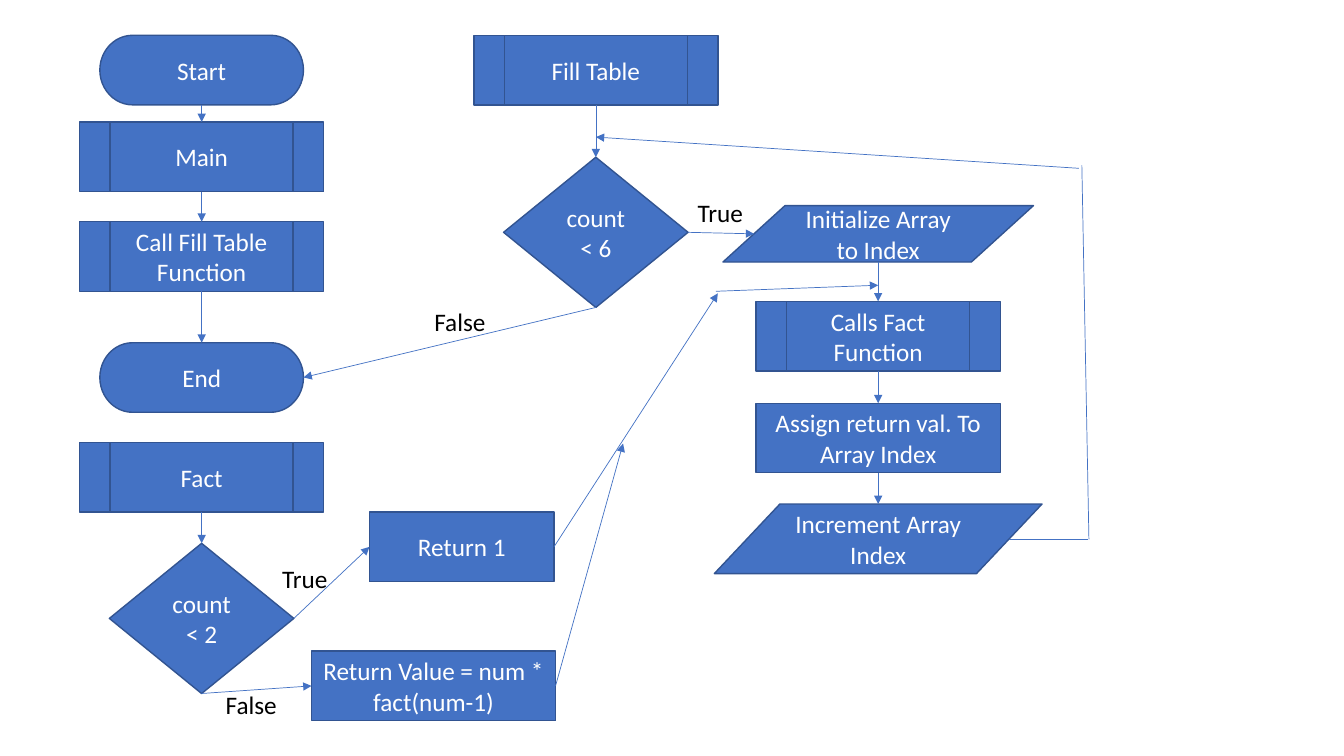
from typing import NamedTuple

from lxml import etree
from pptx import Presentation
from pptx.dml.color import RGBColor
from pptx.enum.shapes import MSO_CONNECTOR, MSO_SHAPE
from pptx.enum.text import MSO_ANCHOR, PP_ALIGN
from pptx.oxml.ns import qn
from pptx.util import Inches, Pt

TERMINATOR = MSO_SHAPE.FLOWCHART_TERMINATOR
FUNCTION = MSO_SHAPE.FLOWCHART_PREDEFINED_PROCESS
DECISION = MSO_SHAPE.FLOWCHART_DECISION
PROCESS = MSO_SHAPE.FLOWCHART_PROCESS
DATA = MSO_SHAPE.FLOWCHART_DATA
STRAIGHT = MSO_CONNECTOR.STRAIGHT
CENTER, LEFT_ALIGNED = PP_ALIGN.CENTER, PP_ALIGN.LEFT
MIDDLE = MSO_ANCHOR.MIDDLE

BLUE, DARK_BLUE, WHITE, BLACK = "4472C4", "325491", "FFFFFF", "000000"
FONT = "Calibri"
TOP, LEFT, BOTTOM, RIGHT = range(4)  # connection sites

# Centre lines of the three flows, and the common box sizes
MAIN_X, FILL_X, ARRAY_X = 2.0, 5.91, 8.71
BOX_WIDTH, BOX_HEIGHT = 2.42, 0.69
PILL_WIDTH = 2.02
DIAMOND_WIDTH, DIAMOND_HEIGHT = 1.83, 1.49


class Node(NamedTuple):
    text: str
    kind: MSO_SHAPE
    center: float
    top: float
    width: float = BOX_WIDTH
    height: float = BOX_HEIGHT


class Anchor(NamedTuple):
    node: str
    site: int


class Point(NamedTuple):
    x: float
    y: float


class Link(NamedTuple):
    start: Anchor | Point
    end: Anchor | Point
    arrow: bool = True


class Label(NamedTuple):
    text: str
    left: float
    top: float
    width: float


NODES = {
    "start": Node("Start", TERMINATOR, MAIN_X, 0.35, PILL_WIDTH),
    "main": Node("Main", FUNCTION, MAIN_X, 1.21),
    "call fill": Node("Call Fill Table Function", FUNCTION, MAIN_X, 2.2),
    "end": Node("End", TERMINATOR, MAIN_X, 3.4, PILL_WIDTH),
    "fill": Node("Fill Table", FUNCTION, FILL_X, 0.35),
    "count 6": Node("count < 6", DECISION, FILL_X, 1.56, DIAMOND_WIDTH, DIAMOND_HEIGHT),
    "initialize": Node("Initialize Array to Index", DATA, ARRAY_X, 2.04, 3.08, 0.56),
    "call fact": Node("Calls Fact Function", FUNCTION, ARRAY_X, 2.99),
    "assign": Node("Assign return val. To Array Index", PROCESS, ARRAY_X, 4),
    "increment": Node("Increment Array Index", DATA, ARRAY_X, 5, 3.25),
    "fact": Node("Fact", FUNCTION, MAIN_X, 4.39),
    "count 2": Node("count < 2", DECISION, MAIN_X, 5.39, DIAMOND_WIDTH, DIAMOND_HEIGHT),
    "return 1": Node("Return 1", PROCESS, 4.58, 5.08, DIAMOND_WIDTH),
    "return value": Node("Return Value = num * fact(num-1)", PROCESS, 4.3, 6.46),
}

# Each flow runs straight down from node to node
FLOWS = [
    ["start", "main", "call fill", "end"],
    ["fill", "count 6"],
    ["initialize", "call fact", "assign", "increment"],
    ["fact", "count 2"],
]

BRANCHES = [
    Link(Anchor("count 6", BOTTOM), Anchor("end", RIGHT)),
    Link(Anchor("count 6", RIGHT), Point(7.48, 2.32)),
    Link(Anchor("count 2", RIGHT), Anchor("return 1", LEFT)),
    Link(Anchor("count 2", BOTTOM), Anchor("return value", LEFT)),
    # Returned values rejoin the array flow
    Link(Anchor("return 1", RIGHT), Point(7.12, 2.91)),
    Link(Anchor("return value", RIGHT), Point(6.18, 4.4)),
    Link(Point(7.1, 2.89), Point(ARRAY_X, 2.83)),
    # Loop back to the count test
    Link(Point(10.01, 5.35), Point(10.79, 5.35), arrow=False),
    Link(Point(10.8, 5.35), Point(10.73, 1.64), arrow=False),
    Link(Point(10.7, 1.67), Point(FILL_X, 1.36)),
]

LABELS = [
    Label("True", 6.82, 1.91, 0.68),
    Label("False", 4.21, 2.99, 0.74),
    Label("True", 2.7, 5.54, 0.68),
    Label("False", 2.14, 6.79, 0.74),
]


def rgb(value: str) -> RGBColor:
    return RGBColor.from_string(value)


def write_text(frame, text: str, *, color: str, align=LEFT_ALIGNED, size: float = 18) -> None:
    paragraph = frame.paragraphs[0]
    paragraph.alignment = align
    run = paragraph.add_run()
    run.text = text
    run.font.name = FONT
    run.font.size = Pt(size)
    run.font.color.rgb = rgb(color)


def draw_node(slide, node: Node):
    shape = slide.shapes.add_shape(
        node.kind, Inches(node.center - node.width / 2), Inches(node.top),
        Inches(node.width), Inches(node.height))
    shape.shadow.inherit = False
    shape.fill.solid()
    shape.fill.fore_color.rgb = rgb(BLUE)
    shape.line.color.rgb = rgb(DARK_BLUE)
    shape.line.width = Pt(1)
    shape.text_frame.word_wrap = True
    shape.text_frame.vertical_anchor = MIDDLE
    write_text(shape.text_frame, node.text, color=WHITE, align=CENTER)
    return shape


def locate(place: Anchor | Point) -> Point:
    if isinstance(place, Point):
        return place
    node = NODES[place.node]
    middle = node.top + node.height / 2
    return {
        TOP: Point(node.center, node.top),
        LEFT: Point(node.center - node.width / 2, middle),
        BOTTOM: Point(node.center, node.top + node.height),
        RIGHT: Point(node.center + node.width / 2, middle),
    }[place.site]


def can_attach(place: Anchor | Point) -> bool:
    # Data shapes number their connection sites differently
    return isinstance(place, Anchor) and NODES[place.node].kind != DATA


def draw_link(slide, link: Link, shapes: dict) -> None:
    start, end = locate(link.start), locate(link.end)
    connector = slide.shapes.add_connector(
        STRAIGHT, Inches(start.x), Inches(start.y), Inches(end.x), Inches(end.y))
    if can_attach(link.start):
        connector.begin_connect(shapes[link.start.node], link.start.site)
    if can_attach(link.end):
        connector.end_connect(shapes[link.end.node], link.end.site)
    connector.line.color.rgb = rgb(BLUE)
    connector.line.width = Pt(0.5)
    if link.arrow:
        etree.SubElement(connector.line._get_or_add_ln(), qn("a:tailEnd"), type="triangle")
    etree.SubElement(connector._element.spPr, qn("a:effectLst"))


def draw_label(slide, label: Label) -> None:
    box = slide.shapes.add_textbox(
        Inches(label.left), Inches(label.top), Inches(label.width), Inches(0.4))
    box.text_frame.word_wrap = False
    write_text(box.text_frame, label.text, color=BLACK)


def main() -> None:
    presentation = Presentation()
    presentation.slide_width = Inches(13.33)
    presentation.slide_height = Inches(7.5)
    slide = presentation.slides.add_slide(presentation.slide_layouts[6])

    shapes = {name: draw_node(slide, node) for name, node in NODES.items()}
    steps = [Link(Anchor(upper, BOTTOM), Anchor(lower, TOP))
             for flow in FLOWS for upper, lower in zip(flow, flow[1:])]
    for link in steps + BRANCHES:
        draw_link(slide, link, shapes)
    for label in LABELS:
        draw_label(slide, label)

    presentation.save("out.pptx")


if __name__ == "__main__":
    main()
